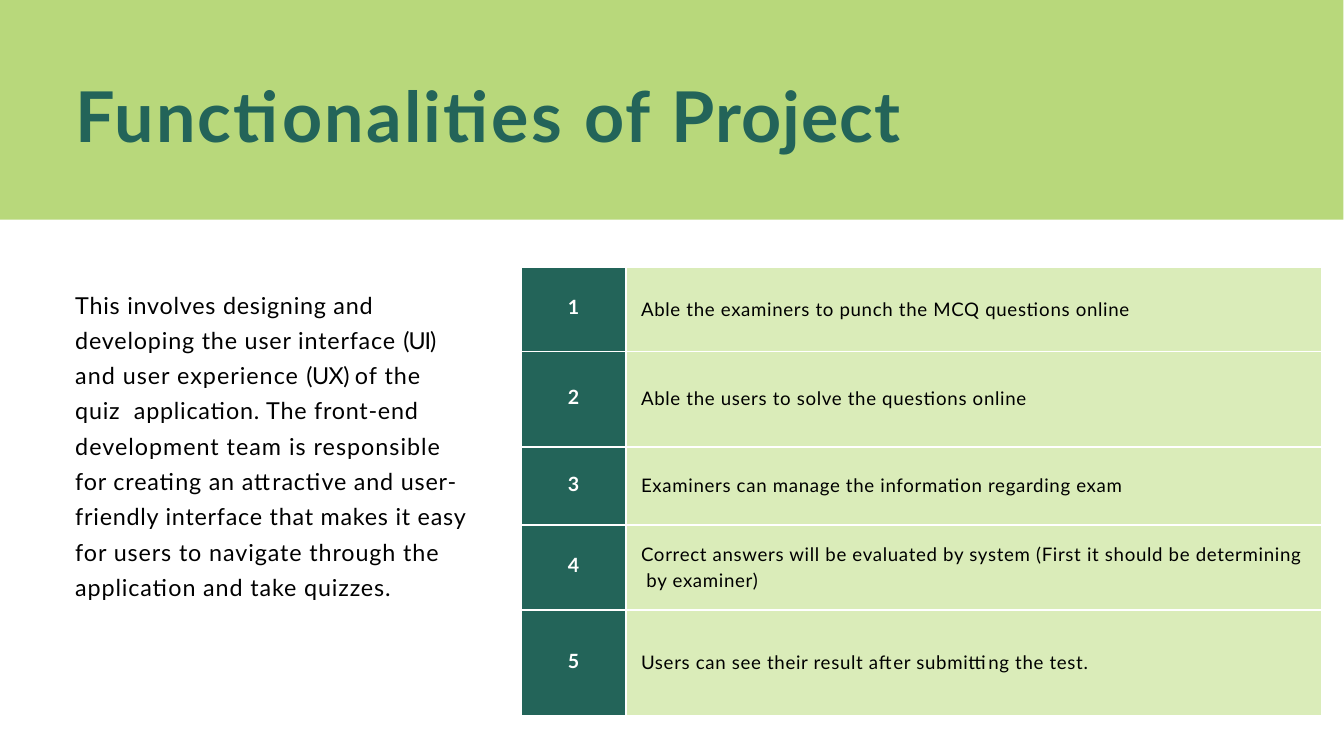
"""Build the slide that lists the functionalities of the quiz project."""
from dataclasses import dataclass

from lxml.etree import SubElement
from pptx import Presentation
from pptx.dml.color import RGBColor
from pptx.enum.shapes import MSO_SHAPE
from pptx.enum.text import MSO_ANCHOR, MSO_AUTO_SIZE, PP_ALIGN
from pptx.oxml.ns import qn
from pptx.util import Inches, Pt

LIME, PALE, TEAL, BLACK, WHITE = "B8D87B", "DAECB9", "236459", "000000", "FFFFFF"
MARGINS = ("margin_left", "margin_top", "margin_right", "margin_bottom")
BORDER_TAGS = ("a:lnL", "a:lnR", "a:lnT", "a:lnB")


@dataclass
class Span:
    text: str
    tracking: float = 0


@dataclass
class Style:
    size: float
    color: str
    bold: bool = False
    align: PP_ALIGN = PP_ALIGN.LEFT
    line_spacing: float = 1.0
    space_before: float = 0


@dataclass
class Feature:
    text: str
    height: float


TITLE_STYLE = Style(75, TEAL, bold=True, space_before=1)
BODY_STYLE = Style(25, BLACK, line_spacing=1.26, space_before=0.9)
NUMBER_STYLE = Style(21, WHITE, bold=True, align=PP_ALIGN.CENTER)
FEATURE_STYLE = Style(20, BLACK, line_spacing=1.16)

TITLE = [Span("Functionalities ", 2.4), Span("of ", 2.6), Span("Project", 1.1)]
BODY = [
    Span("This involves designing and ", 0.85),
    Span("developing the user interface ", 0.9),
    Span("(UI) ", -1.1),
    Span("and user experience ", 1.1),
    Span("(UX) ", -0.6),
    Span("of the ", 1.1),
    Span("quiz  application. The front-end ", 0.85),
    Span("development team is responsible ", 1.1),
    Span("for creating an attractive and user-", 0.9),
    Span("friendly interface that makes it easy ", 0.85),
    Span("for users to navigate through the ", 1),
    Span("application and take quizzes.", 0.95),
]
FEATURES = [
    Feature("Able the examiners to punch the MCQ questions online", 1.25),
    Feature("Able the users to solve the questions online", 1.42),
    Feature("Examiners can manage the information regarding exam", 1.16),
    Feature("Correct answers will be evaluated by system "
            "(First it should be determining  by examiner)", 1.27),
    Feature("Users can see their result after submitting the test.", 1.57),
]


def rgb(color: str) -> RGBColor:
    """Turn a hex string into a colour."""
    return RGBColor.from_string(color)


def set_all(target, values: dict) -> None:
    """Set every attribute in the dict on the target."""
    for name, value in values.items():
        setattr(target, name, value)


def write(frame, spans: list[Span], style: Style) -> None:
    """Write the spans as one styled paragraph."""
    para = frame.paragraphs[0]
    set_all(para, {
        "alignment": style.align,
        "line_spacing": style.line_spacing,
        "space_before": Pt(style.space_before),
    })
    for span in spans:
        run = para.add_run()
        run.text = span.text
        set_all(run.font, {"name": "Lato", "size": Pt(style.size), "bold": style.bold})
        run.font.color.rgb = rgb(style.color)
        run._r.get_or_add_rPr().set("spc", str(round(span.tracking * 100)))


def fill_box(box, spans: list[Span], style: Style) -> None:
    """Format a text box and write its text."""
    set_all(box.text_frame, {
        **dict.fromkeys(MARGINS, 0),
        "word_wrap": True,
        "auto_size": MSO_AUTO_SIZE.NONE,
        "vertical_anchor": MSO_ANCHOR.TOP,
    })
    write(box.text_frame, spans, style)


def fill_cell(cell, span: Span, style: Style, color: str, indent: float) -> None:
    """Format a table cell with white borders and write its text."""
    set_all(cell, {
        "margin_left": Inches(indent),
        "margin_right": Inches(indent),
        "margin_top": 0,
        "margin_bottom": Inches(0.07),
        "vertical_anchor": MSO_ANCHOR.MIDDLE,
    })
    properties = cell._tc.get_or_add_tcPr()
    for tag in BORDER_TAGS:
        line = SubElement(properties, qn(tag), w=str(Pt(2.25)))
        SubElement(SubElement(line, qn("a:solidFill")), qn("a:srgbClr"), val=WHITE)
    cell.fill.solid()
    cell.fill.fore_color.rgb = rgb(color)
    write(cell.text_frame, [span], style)


def add_features(slide) -> None:
    """Add the numbered table of features."""
    height = sum(feature.height for feature in FEATURES)
    table = slide.shapes.add_table(
        len(FEATURES), 2, Inches(7.75), Inches(3.98), Inches(11.92), Inches(height)
    ).table
    set_all(table, {"first_row": False, "horz_banding": False})
    for column, width in zip(table.columns, (1.57, 10.35)):
        column.width = Inches(width)
    for index, feature in enumerate(FEATURES):
        table.rows[index].height = Inches(feature.height)
        fill_cell(table.cell(index, 0), Span(str(index + 1)), NUMBER_STYLE, TEAL, 0)
        fill_cell(table.cell(index, 1), Span(feature.text, 0.7), FEATURE_STYLE, PALE, 0.22)


def main() -> None:
    """Build and save the deck."""
    deck = Presentation()
    set_all(deck, {"slide_width": Inches(20), "slide_height": Inches(11.25)})
    slide = deck.slides.add_slide(deck.slide_layouts[5])

    title = slide.shapes.title
    set_all(title, {
        "left": Inches(1.12), "top": Inches(1.08),
        "width": Inches(13.05), "height": Inches(1.28),
    })
    fill_box(title, TITLE, TITLE_STYLE)

    band = slide.shapes.add_shape(MSO_SHAPE.RECTANGLE, 0, 0, Inches(19.99), Inches(3.27))
    band.shadow.inherit = False
    band.fill.solid()
    band.fill.fore_color.rgb = rgb(LIME)
    band.line.fill.background()
    title.element.addprevious(band.element)

    add_features(slide)
    body = slide.shapes.add_textbox(Inches(1.12), Inches(4.22), Inches(5.9), Inches(4.76))
    fill_box(body, BODY, BODY_STYLE)
    deck.save("out.pptx")


if __name__ == "__main__":
    main()
